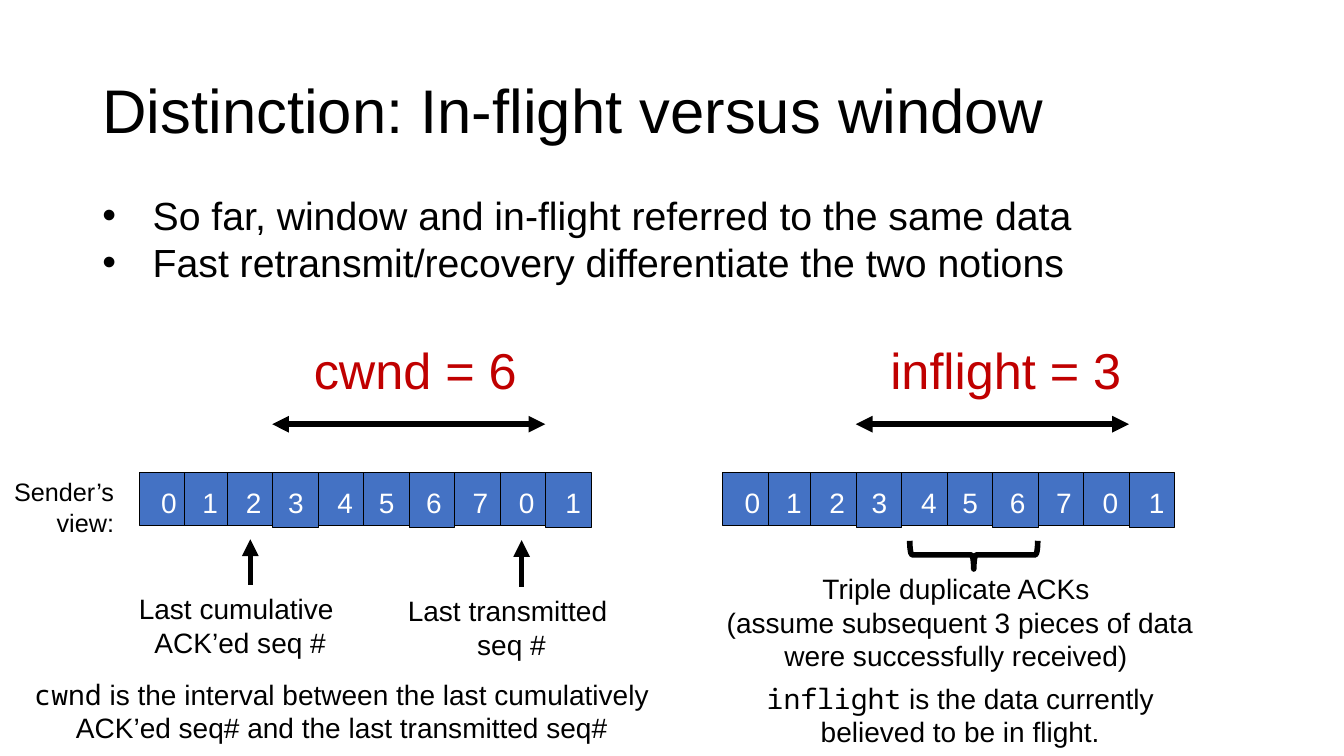
from pptx import Presentation as Deck
from pptx.dml.color import RGBColor as Rgb
from pptx.enum.shapes import MSO_CONNECTOR as Link, MSO_SHAPE as Kind
from pptx.enum.text import MSO_ANCHOR as Anchor, MSO_AUTO_SIZE as Fit, PP_ALIGN as Align
from pptx.oxml.ns import qn
from pptx.util import Inches, Pt
from lxml.etree import SubElement as Sub

COLS, ROWS = 160, 90
SANS, MONO = "Arial", "Noto Sans Mono"
BLACK, WHITE, RED, BLUE = "000000", "FFFFFF", "C00000", "4472C4"
SHIFT = 69.48
DIGITS = "0123456701"
STARTS = (18, 22.92, 28.08, 33.12, 39, 43.92, 49.56, 55.08, 60.6, 66.12)


def tint(code):
    return Rgb.from_string(code)


def apply(item, form):
    for key, val in form.items():
        setattr(item, key, val)


class Board:
    def __init__(self):
        self.deck = Deck()
        apply(self.deck, {"slide_width": Inches(13.33), "slide_height": Inches(7.5)})
        self.slide = self.deck.slides.add_slide(self.deck.slide_layouts[5])
        self.shapes = self.slide.shapes

    def grid(self, x, y):
        return (round(self.deck.slide_width * x / COLS),
                round(self.deck.slide_height * y / ROWS))

    def area(self, x, y, w, h):
        return *self.grid(x, y), *self.grid(w, h)

    def words(self, para, text, size, color, face=SANS):
        run = para.add_run()
        run.text = text
        apply(run.font, {"size": Pt(size), "name": face})
        run.font.color.rgb = tint(color)

    def title(self, text, x, y, w, h):
        head = self.shapes.title
        apply(head, dict(zip(("left", "top", "width", "height"), self.area(x, y, w, h))))
        apply(head.text_frame, {"vertical_anchor": Anchor.MIDDLE, "word_wrap": True})
        para = head.text_frame.paragraphs[0]
        apply(para, {"alignment": Align.LEFT, "line_spacing": 0.9})
        self.words(para, text, 44, BLACK)

    def text(self, lines, x, y, w, h, size=20, color=BLACK,
             align=Align.CENTER, code="", dots=False):
        frame = self.shapes.add_textbox(*self.area(x, y, w, h)).text_frame
        apply(frame, {"word_wrap": True, "auto_size": Fit.SHAPE_TO_FIT_TEXT})
        for num, line in enumerate(lines):
            para = frame.add_paragraph() if num else frame.paragraphs[0]
            para.alignment = align
            if dots:
                props = para._p.get_or_add_pPr()
                props.set("marL", str(Inches(0.5)))
                props.set("indent", str(-Inches(0.5)))
                Sub(props, qn("a:buFont"), typeface=SANS)
                Sub(props, qn("a:buChar"), char="•")
            if code:
                self.words(para, code, size, color, MONO)
            self.words(para, line, size, color)

    def cell(self, x, y, w, h):
        box = self.shapes.add_shape(Kind.RECTANGLE, *self.area(x, y, w, h))
        box.shadow.inherit = False
        box.fill.solid()
        box.fill.fore_color.rgb = tint(BLUE)
        self.edge(box.line, 0.75)

    def edge(self, line, width):
        line.width = Pt(width)
        line.color.rgb = tint(BLACK)

    def arrow(self, start, end, both=False):
        link = self.shapes.add_connector(Link.STRAIGHT, *self.grid(*start), *self.grid(*end))
        self.edge(link.line, 4)
        stroke = link.line._get_or_add_ln()
        for tip in ("a:headEnd", "a:tailEnd") if both else ("a:tailEnd",):
            Sub(stroke, qn(tip), type="triangle")
        Sub(link._element.spPr, qn("a:effectLst"))

    def brace(self, x, y, w, h):
        mark = self.shapes.add_shape(Kind.RIGHT_BRACE, *self.area(x, y, w, h))
        mark.rotation = 90
        mark.shadow.inherit = False
        mark.fill.background()
        self.edge(mark.line, 4)

    def strip(self, shift):
        for num in (*range(1, len(DIGITS)), 0):
            left = 16.56 + 5.42 * num - (0.36 if num > 1 else 0)
            tall = num and num % 3 == 0
            self.cell(left + shift, 56.28, 5.42, 6.48 if tall else 6.24)
        for digit, left in zip(DIGITS, STARTS):
            self.text([digit], left + shift, 57.2, 2.76, 4.08, color=WHITE, align=Align.LEFT)
        self.arrow((32.4 + shift, 50.5), (64.92 + shift, 50.5), both=True)


def main():
    board = Board()
    board.title("Distinction: In-flight versus window", 11, 4.8, 138, 17.4)
    board.text(["So far, window and in-flight referred to the same data",
                "Fast retransmit/recovery differentiate the two notions"],
               11, 22.2, 138, 12.5, size=28, align=Align.LEFT, dots=True)
    for shift in (0, SHIFT):
        board.strip(shift)
    board.text(["cwnd = 6"], 24.3, 39.8, 50.3, 8.5, size=36, color=RED)
    board.text(["inflight = 3"], 103, 39.8, 33.5, 8.5, size=36, color=RED)
    board.text(["Sender’s view:"], -0.36, 56.16, 15.12, 8.5, size=18, align=Align.RIGHT)
    board.text(["Last cumulative ", "ACK’ed seq #"], 13.7, 69.84, 29.8, 9.96)
    board.arrow((29.8, 69.6), (29.8, 64.2))
    board.text(["Last transmitted ", "seq #"], 46, 70.08, 29.8, 9.24)
    board.arrow((62.1, 69.84), (62.1, 64.3))
    board.brace(114.24, 58.44, 3.36, 15.24)
    board.text(["Triple duplicate ACKs",
                " (assume subsequent 3 pieces of data were successfully received)"],
               84.12, 67.44, 59.4, 13.32)
    board.text([" is the interval between the last cumulatively "
                "ACK’ed seq# and the last transmitted seq#"],
               0, 80.04, 81.4, 9.24, code="cwnd")
    board.text([" is the data currently believed to be in flight."],
               85.08, 80.52, 58.5, 9.24, code="inflight")
    board.deck.save("out.pptx")


if __name__ == "__main__":
    main()
